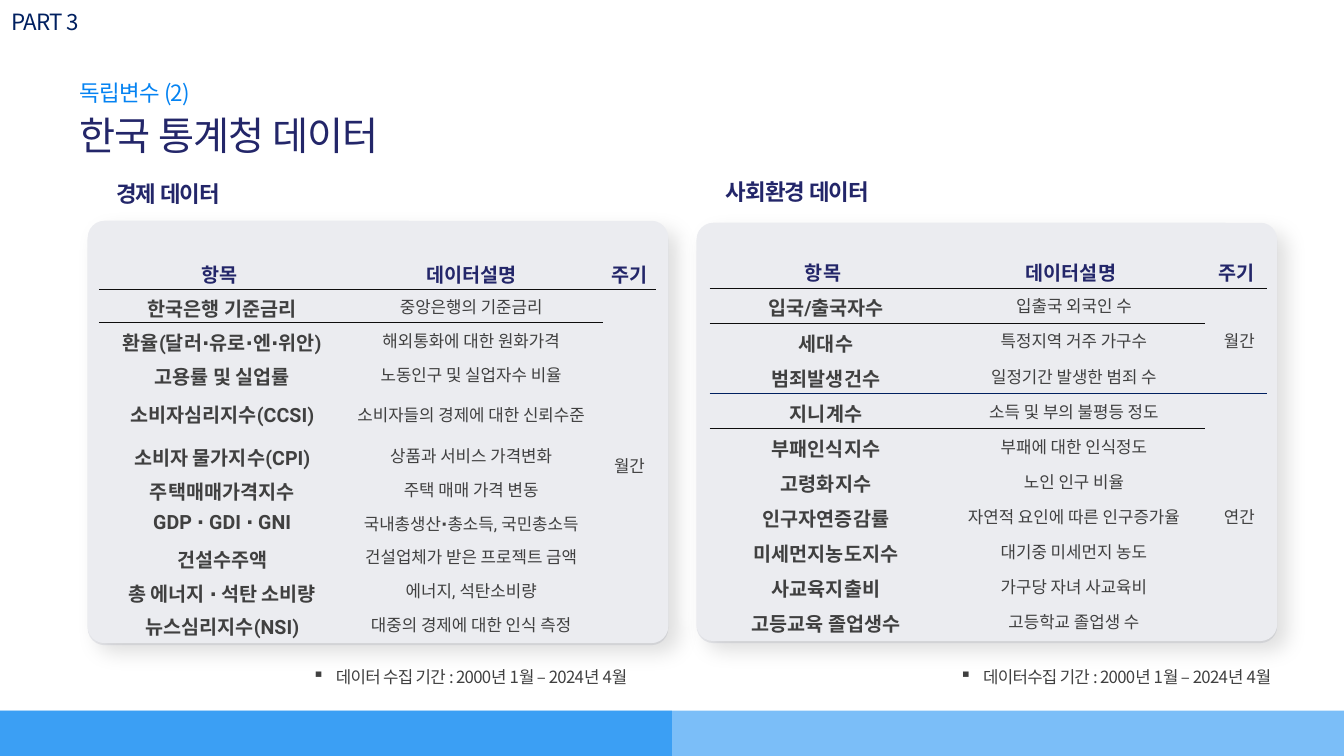
"""Build a slide with two tables of independent variables."""
from lxml import etree
from pptx import Presentation
from pptx.dml.color import RGBColor
from pptx.enum.shapes import MSO_SHAPE
from pptx.enum.text import MSO_ANCHOR, PP_ALIGN
from pptx.oxml.ns import qn
from pptx.util import Inches, Pt

ROUNDED, RECTANGLE = MSO_SHAPE.ROUNDED_RECTANGLE, MSO_SHAPE.RECTANGLE
CENTER, LEFT, MIDDLE = PP_ALIGN.CENTER, PP_ALIGN.LEFT, MSO_ANCHOR.MIDDLE
WIDTH, HEIGHT = Inches(13.333), Inches(7.5)
PLAIN_TABLE = "{2D5ABB26-0587-4C30-8999-92F81FD0307C}"
COLORS = {"navy": "232669", "deep": "002060", "sky": "0583F2", "band": "0283F2",
          "card": "EBECF0", "gray": "404040", "rule": "0D0D0D",
          "white": "FFFFFF", "black": "000000"}
NOTO, ROBOTO = "Noto Sans CJK KR", "Roboto"
HEADER = ("항목", "데이터설명", "주기")
SIDE_INSETS = (0.16, 0.1)

ECONOMY = {
    "title": "경제 데이터", "title_at": (8.4, 23.07, 8.25, 4.27),
    "card": (6.53, 29.2, 43.2, 55.87), "corner": (7.35, 33.73),
    "columns": (17.93, 19.57, 3.98), "row": 4.48, "tall_rows": {4: 6.27},
    "insets": (0, 0), "periods": (("월간", 1, 10),),
    "rules": {0: "rule", 1: "rule"},
    "note": "데이터 수집 기간 : 2000년 1월 – 2024년 4월",
    "note_at": (23.25, 88.13, 28.6, 2.67),
    "items": (("한국은행 기준금리", "중앙은행의 기준금리"),
              ("환율(달러∙유로∙엔∙위안)", "해외통화에 대한 원화가격"),
              ("고용률 및 실업률", "노동인구 및 실업자수 비율"),
              ("소비자심리지수(CCSI)", "소비자들의 경제에 대한 신뢰수준"),
              ("소비자 물가지수(CPI)", "상품과 서비스 가격변화"),
              ("주택매매가격지수", "주택 매매 가격 변동"),
              ("GDP ∙ GDI ∙ GNI", "국내총생산∙총소득, 국민총소득"),
              ("건설수주액", "건설업체가 받은 프로젝트 금액"),
              ("총 에너지 ∙ 석탄 소비량", "에너지, 석탄소비량"),
              ("뉴스심리지수(NSI)", "대중의 경제에 대한 인식 측정")),
}
SOCIETY = {
    "title": "사회환경 데이터", "title_at": (53.63, 22.8, 11.4, 4.27),
    "card": (51.83, 29.47, 43.2, 55.33), "corner": (52.8, 33.47),
    "columns": (16.88, 20.02, 4.58), "row": 4.64, "tall_rows": {},
    "insets": SIDE_INSETS, "periods": (("월간", 1, 3), ("연간", 4, 10)),
    "rules": {0: "rule", 1: "rule", 3: "deep", 4: "rule"},
    "note": "데이터수집 기간 : 2000년 1월 – 2024년 4월",
    "note_at": (71.4, 88.13, 28.6, 2.67),
    "items": (("입국/출국자수", "입출국 외국인 수"),
              ("세대수", "특정지역 거주 가구수"),
              ("범죄발생건수", "일정기간 발생한 범죄 수"),
              ("지니계수", "소득 및 부의 불평등 정도"),
              ("부패인식지수", "부패에 대한 인식정도"),
              ("고령화지수", "노인 인구 비율"),
              ("인구자연증감률", "자연적 요인에 따른 인구증가율"),
              ("미세먼지농도지수", "대기중 미세먼지 농도"),
              ("사교육지출비", "가구당 자녀 사교육비"),
              ("고등교육 졸업생수", "고등학교 졸업생 수")),
}


def across(share):
    """Turn a percentage of the slide width into a length."""
    return int(WIDTH * share / 100)


def down(share):
    """Turn a percentage of the slide height into a length."""
    return int(HEIGHT * share / 100)


def place(area):
    """Turn left, top, width and height percentages into lengths."""
    left, top, width, height = area
    return across(left), down(top), across(width), down(height)


def add_element(parent, tag, **values):
    """Append an XML child with the given attributes."""
    element = etree.SubElement(parent, qn(tag))
    for name, value in values.items():
        element.set(name, str(value))
    return element


def add_span(para, text, font, size, color, bold=False, spacing=0):
    """Append one formatted run to a paragraph."""
    span = para.add_run()
    span.text = text
    formats = {"name": font, "size": Pt(size), "bold": bold}
    for name, value in formats.items():
        setattr(span.font, name, value)
    span.font.color.rgb = RGBColor.from_string(COLORS[color])
    props = span.font._element
    add_element(props, "a:ea", typeface=NOTO)
    if spacing:
        props.set("spc", str(int(spacing * 100)))


def set_insets(frame, left=0, right=0, vertical=0):
    """Set the margins of a text frame or a table cell."""
    insets = {"margin_left": left, "margin_right": right,
              "margin_top": vertical, "margin_bottom": vertical}
    for name, value in insets.items():
        setattr(frame, name, Inches(value))


def add_text(page, text, area, size, color, font=NOTO, bold=False,
             align=LEFT, line=1.0, wrap=False, bullet=None):
    """Add a text box holding one paragraph."""
    frame = page.shapes.add_textbox(*place(area)).text_frame
    frame.word_wrap = wrap
    set_insets(frame)
    para = frame.paragraphs[0]
    para.alignment, para.line_spacing = align, line
    if bullet:
        props = para._p.get_or_add_pPr()
        indent = across(1.75)
        props.set("marL", str(indent))
        props.set("indent", str(-indent))
        add_element(props, "a:buChar", char=bullet)
    add_span(para, text, font, size, color, bold, -0.5)


def add_block(page, kind, area, color):
    """Add a filled shape without an outline."""
    block = page.shapes.add_shape(kind, *place(area))
    block.shadow.inherit = False
    block.fill.solid()
    block.fill.fore_color.rgb = RGBColor.from_string(COLORS[color])
    block.line.fill.background()
    return block


def add_card(page, area):
    """Add a raised card from a light layer and a shaded layer."""
    left, top, width, height = area
    for offset, color, alpha, angle in ((0.27, "white", 78, 225),
                                        (0, "black", 12, 45)):
        card = add_block(page, ROUNDED, (left, top + offset, width, height), "card")
        card.adjustments[0] = 0.04
        effects = card._element.spPr.find(qn("a:effectLst"))
        shadow = add_element(effects, "a:outerShdw", blurRad=Pt(15 if offset == 0 else 12),
                             dist=Pt(10), dir=angle * 60000, algn="ctr", rotWithShape=0)
        tint = add_element(shadow, "a:srgbClr", val=COLORS[color])
        add_element(tint, "a:alpha", val=alpha * 1000)


def add_band(page, width):
    """Add a translucent band along the foot of the slide."""
    band = add_block(page, RECTANGLE, (0, 94, width, 6), "band")
    tint = band._element.spPr.find(qn("a:solidFill"))[0]
    add_element(tint, "a:alpha", val=52000)


def fill_cell(cell, text, size, color, bold, insets):
    """Write centred text into a cell, keeping middle dots bold."""
    cell.vertical_anchor = MIDDLE
    set_insets(cell, *insets, vertical=0.05)
    para = cell.text_frame.paragraphs[0]
    para.alignment = CENTER
    parts = (text,) if bold else text.partition("∙")
    for part in filter(None, parts):
        add_span(para, part, ROBOTO, size, color, bold or part == "∙")


def rule_below(cell, color):
    """Draw a thin line under a cell."""
    width = Pt(0.25 if color == "deep" else 0.5)
    line = add_element(cell._tc.get_or_add_tcPr(), "a:lnB", w=width)
    fill = add_element(line, "a:solidFill")
    add_element(fill, "a:srgbClr", val=COLORS[color])


def add_data_table(page, group):
    """Add the table of items, descriptions and periods."""
    heights = [group["tall_rows"].get(row, group["row"])
               for row in range(len(group["items"]) + 1)]
    area = (*group["corner"], sum(group["columns"]), sum(heights))
    table = page.shapes.add_table(len(heights), len(HEADER), *place(area)).table
    table._tbl.tblPr.find(qn("a:tableStyleId")).text = PLAIN_TABLE
    table.first_row = table.horz_banding = False
    for column, share in zip(table.columns, group["columns"]):
        column.width = across(share)
    for row, share in zip(table.rows, heights):
        row.height = down(share)
    for column, text in enumerate(HEADER):
        fill_cell(table.cell(0, column), text, 14, "navy", True, (0, 0))
    for row, (item, description) in enumerate(group["items"], 1):
        fill_cell(table.cell(row, 0), item, 14, "gray", True, SIDE_INSETS)
        fill_cell(table.cell(row, 1), description, 12, "gray", False, group["insets"])
    ends = {0}
    for text, first, last in group["periods"]:
        table.cell(first, 2).merge(table.cell(last, 2))
        fill_cell(table.cell(first, 2), text, 12, "gray", False, group["insets"])
        ends.add(last)
        if last in group["rules"]:
            rule_below(table.cell(first, 2), group["rules"][last])
    for row, color in group["rules"].items():
        for column in range(3 if row in ends else 2):
            rule_below(table.cell(row, column), color)
    for cell in table.iter_cells():
        cell.fill.background()


def main():
    """Build and save the deck."""
    deck = Presentation()
    deck.slide_width, deck.slide_height = WIDTH, HEIGHT
    page = deck.slides.add_slide(deck.slide_layouts[6])
    add_text(page, "PART 3", (0.83, 1.07, 6.45, 3.6), 16, "deep")
    add_text(page, "독립변수 (2)", (5.93, 10.53, 9.23, 3.6), 16, "sky")
    add_text(page, "한국 통계청 데이터", (5.93, 14.13, 23.78, 6.93), 28, "navy", line=1.1)
    for group in (ECONOMY, SOCIETY):
        add_card(page, group["card"])
        add_text(page, group["title"], group["title_at"], 16, "navy", ROBOTO,
                 bold=True, align=CENTER, line=1.2)
        add_data_table(page, group)
        add_text(page, group["note"], group["note_at"], 12, "gray", wrap=True, bullet="▪")
    for width in (100, 50):
        add_band(page, width)
    deck.save("out.pptx")


if __name__ == "__main__":
    main()
